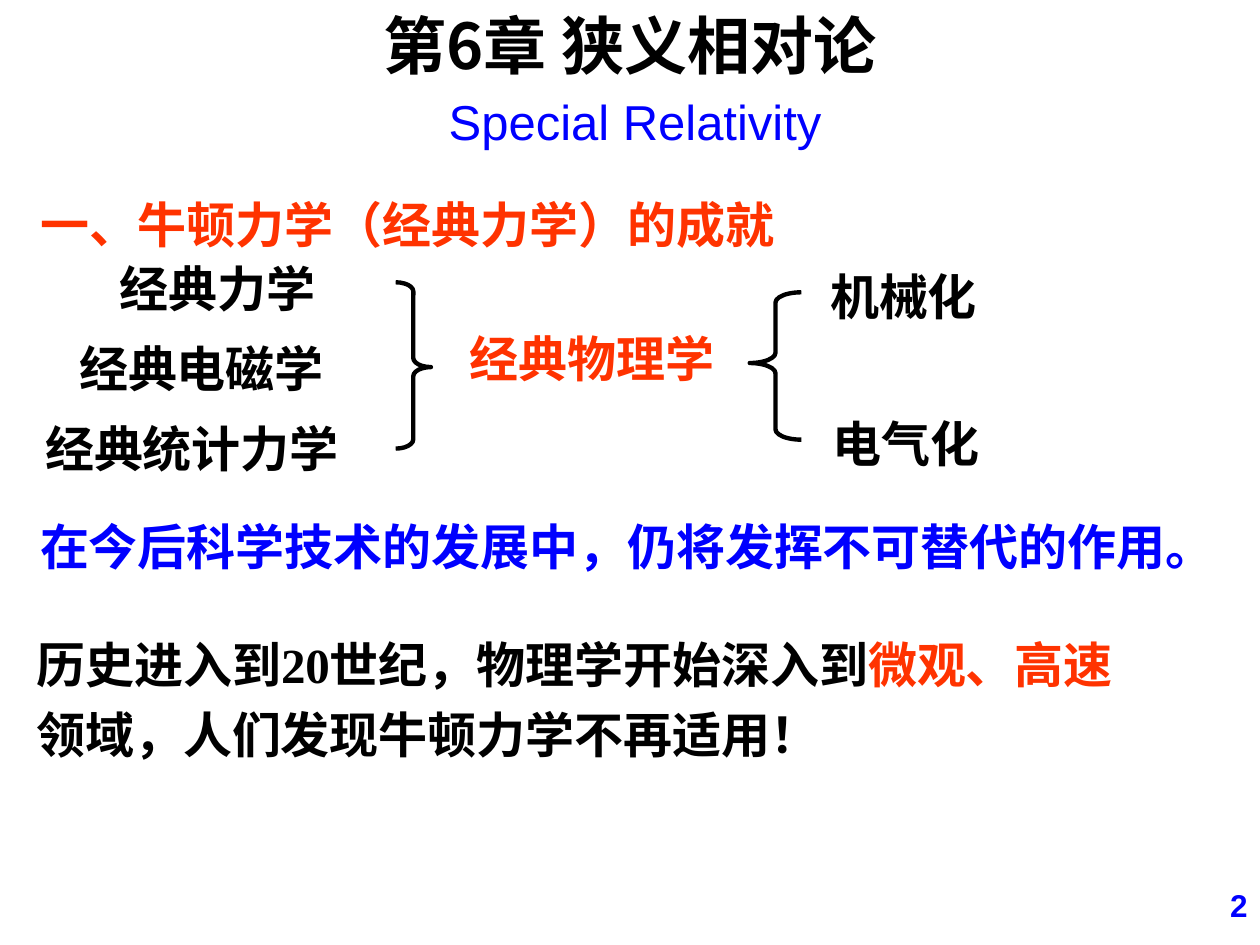
from lxml import etree
from pptx import Presentation
from pptx import util as u
from pptx.dml.color import RGBColor
from pptx.enum import shapes, text
from pptx.oxml.ns import qn

COLORS = {"black": "000000", "blue": "0000FF", "red": "FF3300"}
CJK = "Noto Sans CJK SC"
SERIF = "Times New Roman"
LEFT, CENTER, RIGHT = text.PP_ALIGN.LEFT, text.PP_ALIGN.CENTER, text.PP_ALIGN.RIGHT


def rgb(name):
    return RGBColor.from_string(COLORS[name])


def place(s, box):
    s.left, s.top, s.width, s.height = (u.Inches(v) for v in box)


def fill_text(s, parts, color="black", size=28, font=SERIF, bold=True,
              align=LEFT, spacing=1.0):
    tf = s.text_frame
    tf.word_wrap = True
    tf.auto_size = text.MSO_AUTO_SIZE.SHAPE_TO_FIT_TEXT
    tf.vertical_anchor = text.MSO_ANCHOR.TOP
    p = tf.paragraphs[0]
    p.alignment = align
    p.line_spacing = spacing
    p.font.size = u.Pt(size)
    p.font.bold = bold
    p.font.color.rgb = rgb(color)
    p.font.name = font
    etree.SubElement(p._p.pPr.find(qn("a:defRPr")), qn("a:ea"), typeface=CJK)
    for content, run_color in parts:
        r = p.add_run()
        r.text = content
        if run_color != color:
            r.font.color.rgb = rgb(run_color)


def add_label(slide, box, content, color="black", **style):
    s = slide.shapes.add_textbox(*(u.Inches(v) for v in box))
    fill_text(s, [(content, color)], color, **style)


def add_brace(slide, box, adjustments, flipped=False):
    s = slide.shapes.add_shape(shapes.MSO_SHAPE.RIGHT_BRACE,
                               *(u.Inches(v) for v in box))
    s.shadow.inherit = False
    s.fill.background()
    s.line.color.rgb = rgb("black")
    s.line.width = u.Pt(2.5)
    for i, value in enumerate(adjustments):
        s.adjustments[i] = value
    if flipped:
        s._element.spPr.xfrm.set("flipH", "1")


def add_heading(slide, box):
    x, y, w, h = box
    title = slide.shapes.title
    place(title, (x, y, w, 0.7))
    fill_text(title, [("第6章 狭义相对论", "black")], size=36, font=CJK, align=CENTER)
    add_label(slide, (x + 2.49, y + 0.68, 5.1, 0.57), "Special Relativity", "blue",
              font="Arial", bold=False, align=CENTER)


def add_physics_map(slide, box):
    x, y, w, h = box
    branches = [(0.63, 2.58, "经典力学"), (0.31, 2.58, "经典电磁学"),
                (0.04, 3.16, "经典统计力学")]
    for i, (dx, width, name) in enumerate(branches):
        add_label(slide, (x + dx, y + 0.07 + i * 0.635, width, 0.57), name)
    add_brace(slide, (x + 2.92, y + 0.31, 0.28, 1.32), (0.26, 0.51))
    add_label(slide, (x + 3.41, y + 0.63, 3.08, 0.57), "经典物理学", "red")
    add_brace(slide, (x + 5.73, y + 0.39, 0.41, 1.17), (0.2, 0.48), flipped=True)
    for dx, dy, name in [(6.27, 0, "机械化"), (6.29, 1.16, "电气化")]:
        add_label(slide, (x + dx, y + dy, 2.1, 0.71), name, spacing=1.3)


def add_history(slide, box):
    s = slide.shapes.add_textbox(*(u.Inches(v) for v in box))
    fill_text(s, [("历史进入到20世纪，物理学开始深入到", "black"),
                  ("微观、高速", "red"),
                  ("领域，人们发现牛顿力学不再适用！", "black")], spacing=1.2)


def main():
    prs = Presentation()
    prs.slide_width, prs.slide_height = u.Inches(10), u.Inches(7.5)
    slide = prs.slides.add_slide(prs.slide_layouts[5])
    add_heading(slide, (0, 0, 10, 1.25))
    add_label(slide, (0.22, 1.45, 8.42, 0.61), "一、牛顿力学（经典力学）的成就", "red",
              spacing=1.1)
    add_physics_map(slide, (0.22, 1.93, 8.44, 1.91))
    add_label(slide, (0.22, 3.96, 9.64, 0.66),
              "在今后科学技术的发展中，仍将发挥不可替代的作用。", "blue", spacing=1.2)
    add_history(slide, (0.19, 4.89, 9.08, 1.22))
    add_label(slide, (7.67, 6.98, 2.33, 0.52), "2", "blue", size=18, font="Arial",
              align=RIGHT)
    prs.save("out.pptx")


if __name__ == "__main__":
    main()
